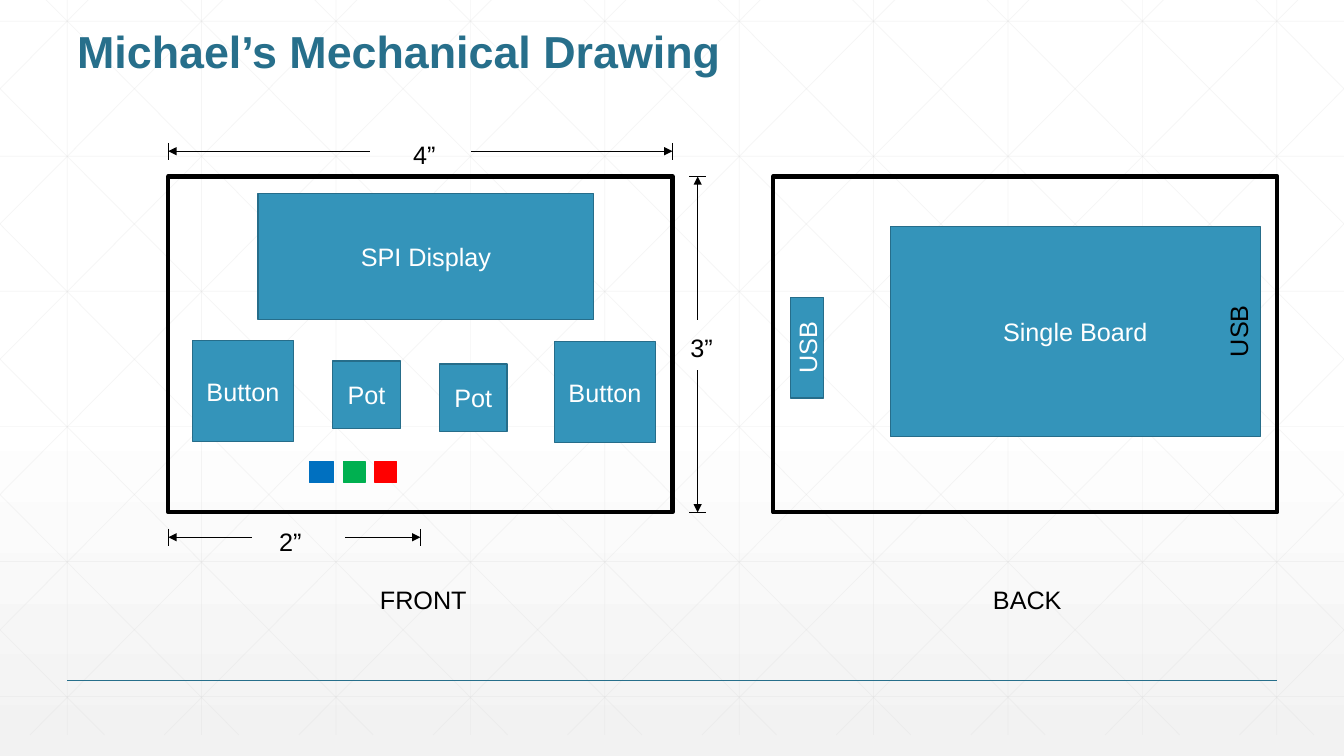
"""Build a slide with the front and back views of a mechanical drawing."""
from copy import deepcopy

from lxml.etree import SubElement
from pptx import Presentation
from pptx.dml.color import RGBColor
from pptx.enum.shapes import MSO_CONNECTOR, MSO_SHAPE
from pptx.enum.text import MSO_ANCHOR, MSO_AUTO_SIZE, PP_ALIGN
from pptx.oxml.ns import qn
from pptx.util import Inches, Pt

BLACK = RGBColor(0x00, 0x00, 0x00)
WHITE = RGBColor(0xFF, 0xFF, 0xFF)
PALE = RGBColor(0xF2, 0xF2, 0xF2)
GRID = RGBColor(0xD9, 0xD9, 0xD9)
TEAL = RGBColor(0x27, 0x6F, 0x8B)
PART_FILL = RGBColor(0x34, 0x94, 0xBA)
PART_LINE = RGBColor(0x26, 0x6D, 0x8A)
BLUE = RGBColor(0x00, 0x70, 0xC0)
GREEN = RGBColor(0x00, 0xB0, 0x50)
RED = RGBColor(0xFF, 0x00, 0x00)

WIDTH, HEIGHT = 13.33, 7.5
MARGIN = WIDTH / 20
CELL = WIDTH / 10
GRID_TOP, GRID_BOTTOM = -0.21, 7.29
ROW_TOP, ROW_STEP = 0.21, 1.34
SLANT_START, SLANT_RUN = 0.25, 7.45
TICK = 1 / 12

TITLE = "Michael’s Mechanical Drawing"
CASE_TOP, CASE_WIDTH, CASE_HEIGHT = 1.75, 5, 10 / 3
FRONT_LEFT, BACK_LEFT = 1.67, 7.67
FRONT_RIGHT, CASE_BOTTOM = FRONT_LEFT + CASE_WIDTH, CASE_TOP + CASE_HEIGHT

PARTS = [
    ("Button", FRONT_LEFT, 0.24, 1.63, 1, 1),
    ("Button", FRONT_LEFT, 3.83, 1.64, 1, 1),
    ("Pot", FRONT_LEFT, 1.63, 1.83, 0.67, 0.67),
    ("Pot", FRONT_LEFT, 2.69, 1.86, 0.67, 0.67),
    ("SPI Display", FRONT_LEFT, 0.89, 0.17, 3.33, 1.25),
    ("Single Board", BACK_LEFT, 1.16, 0.5, 3.67, 2.08),
]
SIDE_PORT = ("USB", BACK_LEFT, 0.17, 1.2, 0.33, 1)
LEDS = [(BLUE, 1.4, 0.24), (GREEN, 1.74, 0.21), (RED, 2.05, 0.21)]
LED_TOP, LED_HEIGHT = 2.83, 0.21

DIMENSIONS = [
    (False, 1.5, [(FRONT_LEFT, 3.67), (FRONT_RIGHT, 4.67)]),
    (False, 5.33, [(FRONT_LEFT, 2.5), (4.17, 3.42)]),
    (True, 6.92, [(CASE_TOP, 3.17), (CASE_BOTTOM, 3.67)]),
]
LABELS = [
    ("4”", 4, 1.33, 0.43, 0),
    ("3”", 6.75, 3.25, 0.43, 0),
    ("2”", 2.67, 5.17, 0.43, 0),
    ("FRONT", 3.67, 5.75, 1.07, 0),
    ("BACK", 9.75, 5.75, 0.89, 0),
    ("USB", 11.92, 3.08, 0.72, 270),
]


def set_font(paragraph, size, color, bold=False):
    font = paragraph.font
    font.name, font.size, font.bold = "Arial", Pt(size), bold
    font.color.rgb = color


def add_line(shapes, start, end, color=BLACK, width=1, arrow=False, opacity=None):
    points = [Inches(value) for value in (*start, *end)]
    line = shapes.add_connector(MSO_CONNECTOR.STRAIGHT, *points)
    line.line.color.rgb, line.line.width = color, Pt(width)
    properties = line._element.spPr
    outline = properties.find(qn("a:ln"))
    if arrow:
        SubElement(outline, qn("a:headEnd"), type="triangle")
    if opacity:
        SubElement(outline.find(".//" + qn("a:srgbClr")), qn("a:alpha"), val=str(opacity * 1000))
    SubElement(properties, qn("a:effectLst"))


def add_box(shapes, left, top, width, height, fill, outline, weight=1, text=""):
    box = shapes.add_shape(MSO_SHAPE.RECTANGLE, *map(Inches, (left, top, width, height)))
    box.shadow.inherit = False
    if fill is None:
        box.fill.background()
    else:
        box.fill.solid()
        box.fill.fore_color.rgb = fill
    box.line.color.rgb, box.line.width = outline, Pt(weight)
    if text:
        box.text_frame.text = text
        box.text_frame.vertical_anchor = MSO_ANCHOR.MIDDLE
        paragraph = box.text_frame.paragraphs[0]
        paragraph.alignment = PP_ALIGN.CENTER
        set_font(paragraph, 18, WHITE)
    return box


def add_part(shapes, text, case_left, across, down, width, height):
    return add_box(shapes, case_left + across, CASE_TOP + down, width, height,
                   PART_FILL, PART_LINE, text=text)


def add_background(slide):
    fill = slide.background.fill
    fill.gradient()
    fill.gradient_angle = 270
    stop_list = slide.element.find(".//" + qn("a:gsLst"))
    stop_list.append(deepcopy(stop_list[-1]))
    for stop, (place, color) in zip(fill.gradient_stops, [(0, WHITE), (0.53, WHITE), (1, PALE)]):
        stop.position, stop.color.rgb = place, color

    lattice = [((MARGIN + CELL * i, GRID_TOP), (MARGIN + CELL * i, GRID_BOTTOM)) for i in range(10)]
    lattice += [((0, ROW_TOP + ROW_STEP * i), (WIDTH, ROW_TOP + ROW_STEP * i)) for i in range(6)]
    slope = (GRID_BOTTOM - GRID_TOP) / SLANT_RUN
    for i in range(-5, 10):
        origin = SLANT_START + CELL * i
        ends = [(x, GRID_TOP + (x - origin) * slope)
                for x in (max(origin, 0), min(origin + SLANT_RUN, WIDTH))]
        lattice += [ends, [(WIDTH - x, y) for x, y in ends]]
    group = slide.shapes.add_group_shape()
    for start, end in lattice:
        add_line(group.shapes, start, end, GRID, 0.5, opacity=25)


def add_dimension(shapes, upright, across, spans):
    def place(along, offset=0):
        return (across + offset, along) if upright else (along, across + offset)

    for outer, inner in spans:
        add_line(shapes, place(outer), place(inner), arrow=True)
        add_line(shapes, place(outer, -TICK), place(outer, TICK))


def add_text(shapes, text, left, top, width, height, size, color, bold=False):
    box = shapes.add_textbox(*map(Inches, (left, top, width, height)))
    box.text_frame.text = text
    set_font(box.text_frame.paragraphs[0], size, color, bold)
    return box


def main():
    presentation = Presentation()
    presentation.slide_width, presentation.slide_height = Inches(WIDTH), Inches(HEIGHT)
    slide = presentation.slides.add_slide(presentation.slide_layouts[6])
    shapes = slide.shapes
    add_background(slide)
    add_line(shapes, (MARGIN, 6.75), (WIDTH - MARGIN, 6.75), TEAL)
    title = add_text(shapes, TITLE, MARGIN, 0.25, WIDTH - 2 * MARGIN, 1, 32, TEAL, True)
    title.text_frame.word_wrap = True
    title.text_frame.paragraphs[0].line_spacing = 0.9

    for left in (FRONT_LEFT, BACK_LEFT):
        add_box(shapes, left, CASE_TOP, CASE_WIDTH, CASE_HEIGHT, None, BLACK, 3)
    for dimension in DIMENSIONS:
        add_dimension(shapes, *dimension)
    for part in PARTS:
        add_part(shapes, *part)
    port = add_part(shapes, *SIDE_PORT)
    port.text_frame._txBody.bodyPr.set("vert", "vert270")
    for color, across, width in LEDS:
        add_box(shapes, FRONT_LEFT + across, CASE_TOP + LED_TOP, width, LED_HEIGHT, color, color)
    for text, left, top, width, rotation in LABELS:
        label = add_text(shapes, text, left, top, width, 0.4, 18, BLACK)
        label.text_frame.word_wrap = False
        label.text_frame.auto_size = MSO_AUTO_SIZE.SHAPE_TO_FIT_TEXT
        label.rotation = rotation
    presentation.save("out.pptx")


if __name__ == "__main__":
    main()
